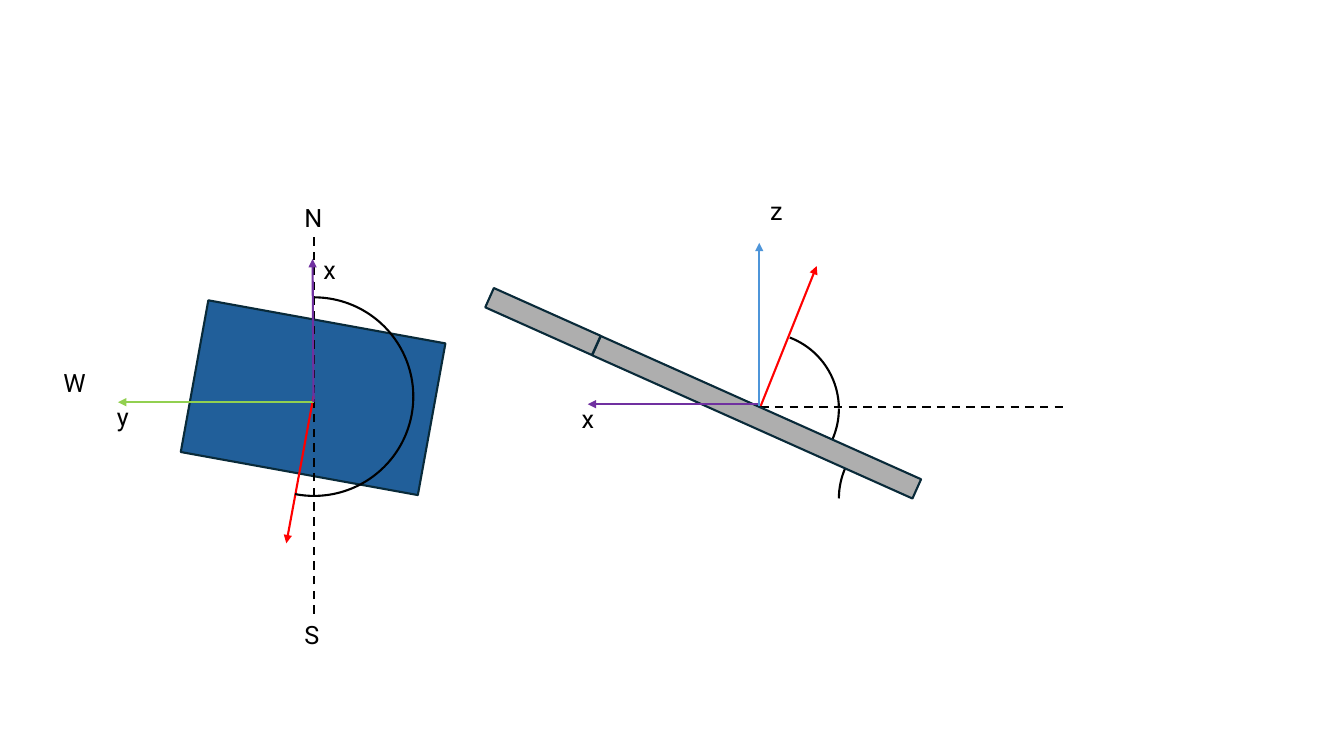
from lxml import etree
from pptx import Presentation
from pptx.dml.color import RGBColor
from pptx.enum.dml import MSO_LINE
from pptx.enum.shapes import MSO_CONNECTOR, MSO_SHAPE
from pptx.enum.text import MSO_AUTO_SIZE
from pptx.oxml.ns import qn
from pptx.util import Inches, Pt

RECT, ARC = MSO_SHAPE.RECTANGLE, MSO_SHAPE.ARC
STRAIGHT, DASH = MSO_CONNECTOR.STRAIGHT, MSO_LINE.DASH
FIT_TEXT = MSO_AUTO_SIZE.SHAPE_TO_FIT_TEXT

BLACK = RGBColor(0x00, 0x00, 0x00)
RED = RGBColor(0xFF, 0x00, 0x00)
GREEN = RGBColor(0x92, 0xD0, 0x50)
PURPLE = RGBColor(0x70, 0x30, 0xA0)
SKY = RGBColor(0x4E, 0x95, 0xD9)
PANEL_BLUE = RGBColor(0x21, 0x5F, 0x9A)
EDGE_GREY = RGBColor(0xAE, 0xAE, 0xAE)
OUTLINE = RGBColor(0x09, 0x2A, 0x39)

FONT = "Roboto"
CELL = Inches(0.1)  # grid cell: all lengths below are columns and rows
LINE_WIDTH = Pt(1.5)
LABEL_HEIGHT = 4
COMPASS_LABEL, AXIS_LABEL = 3.9, 4.2  # label widths
TILT = 294.1  # rotation of the panel seen from the side


def grid(*cells):
    return [round(n * CELL) for n in cells]


def style_line(line, color):
    line.color.rgb = color
    line.width = LINE_WIDTH


def add_line(shapes, start, end, color):
    sp = shapes.add_connector(STRAIGHT, *grid(*start, *end))
    style_line(sp.line, color)
    etree.SubElement(sp._element.spPr, qn("a:effectLst"))
    return sp


def add_arrow(shapes, start, end, color):
    ln = add_line(shapes, start, end, color).line._get_or_add_ln()
    etree.SubElement(ln, qn("a:tailEnd"), type="triangle")


def add_dashed(shapes, start, end):
    add_line(shapes, start, end, BLACK).line.dash_style = DASH


def add_panel(shapes, box, rotation, color):
    sp = shapes.add_shape(RECT, *grid(*box))
    sp.shadow.inherit = False
    sp.rotation = rotation
    sp.fill.solid()
    sp.fill.fore_color.rgb = color
    style_line(sp.line, OUTLINE)


def add_arc(shapes, left, top, size, start, end, rotation=0):
    """Circular arc, clockwise from start to end in degrees."""
    sp = shapes.add_shape(ARC, *grid(left, top, size, size))
    sp.shadow.inherit = False
    sp.rotation = rotation
    sp.fill.background()
    style_line(sp.line, BLACK)
    for i, angle in enumerate((start, end)):
        sp.adjustments[i] = angle * 0.6  # 60000 units per degree, scaled by 100000


def add_label(shapes, text, left, top, width):
    sp = shapes.add_textbox(*grid(left, top, width, LABEL_HEIGHT))
    tf = sp.text_frame
    tf.word_wrap = True
    tf.auto_size = FIT_TEXT
    tf.text = text
    font = tf.paragraphs[0].runs[0].font
    font.name = FONT
    font.size = Pt(18)
    font.color.rgb = BLACK


def draw_top_view(shapes):
    center = (31.1, 39.9)
    add_panel(shapes, (19.1, 31.8, 23.9, 15.3), 190.3, PANEL_BLUE)
    add_arrow(shapes, (31.1, 39.3), (28.4, 53.9), RED)
    # North-south line and azimuth
    add_dashed(shapes, (31.1, 60.9), (31.1, 23.5))
    add_arc(shapes, 21.3, 29.5, 19.7, 270, 101)
    for text, left, top in (("N", 29.2, 19.6), ("S", 29.2, 60.9), ("W", 5.3, 35.9)):
        add_label(shapes, text, left, top, COMPASS_LABEL)
    # Axes
    add_arrow(shapes, center, (11.7, 39.9), GREEN)
    add_arrow(shapes, center, (31, 25.7), PURPLE)
    add_label(shapes, "x", 31.1, 24.7, AXIS_LABEL)
    add_label(shapes, "y", 10.6, 39.3, AXIS_LABEL)


def draw_side_view(shapes):
    center = (75.4, 40.4)
    # Panel normal and horizon
    add_arrow(shapes, center, (81, 26.4), RED)
    add_dashed(shapes, center, (105.8, 40.4))
    # Tilt angles
    add_arc(shapes, 83.2, 41.9, 15.1, 270, 293.16, 270)
    add_arc(shapes, 68.1, 33, 15.1, 245.84, 314.66, 45)
    add_arc(shapes, 68.1, 33, 15.1, 270, 294.48, 90)
    # Panel edge in two pieces
    add_panel(shapes, (74, 24, 2.1, 34.8), TILT, EDGE_GREY)
    add_panel(shapes, (52.8, 26.1, 2.1, 11.6), TILT, EDGE_GREY)
    # Axes
    add_arrow(shapes, (75.3, 40.1), (58.3, 40.1), PURPLE)
    add_label(shapes, "x", 56.7, 39.5, AXIS_LABEL)
    add_arrow(shapes, (75.3, 40.3), (75.3, 24.1), SKY)
    add_label(shapes, "z", 75.4, 18.9, AXIS_LABEL)


def main():
    prs = Presentation()
    prs.slide_width, prs.slide_height = Inches(13.33), Inches(7.5)
    slide = prs.slides.add_slide(prs.slide_layouts[6])
    for draw in (draw_top_view, draw_side_view):
        draw(slide.shapes.add_group_shape().shapes)
    prs.save("out.pptx")


if __name__ == "__main__":
    main()
